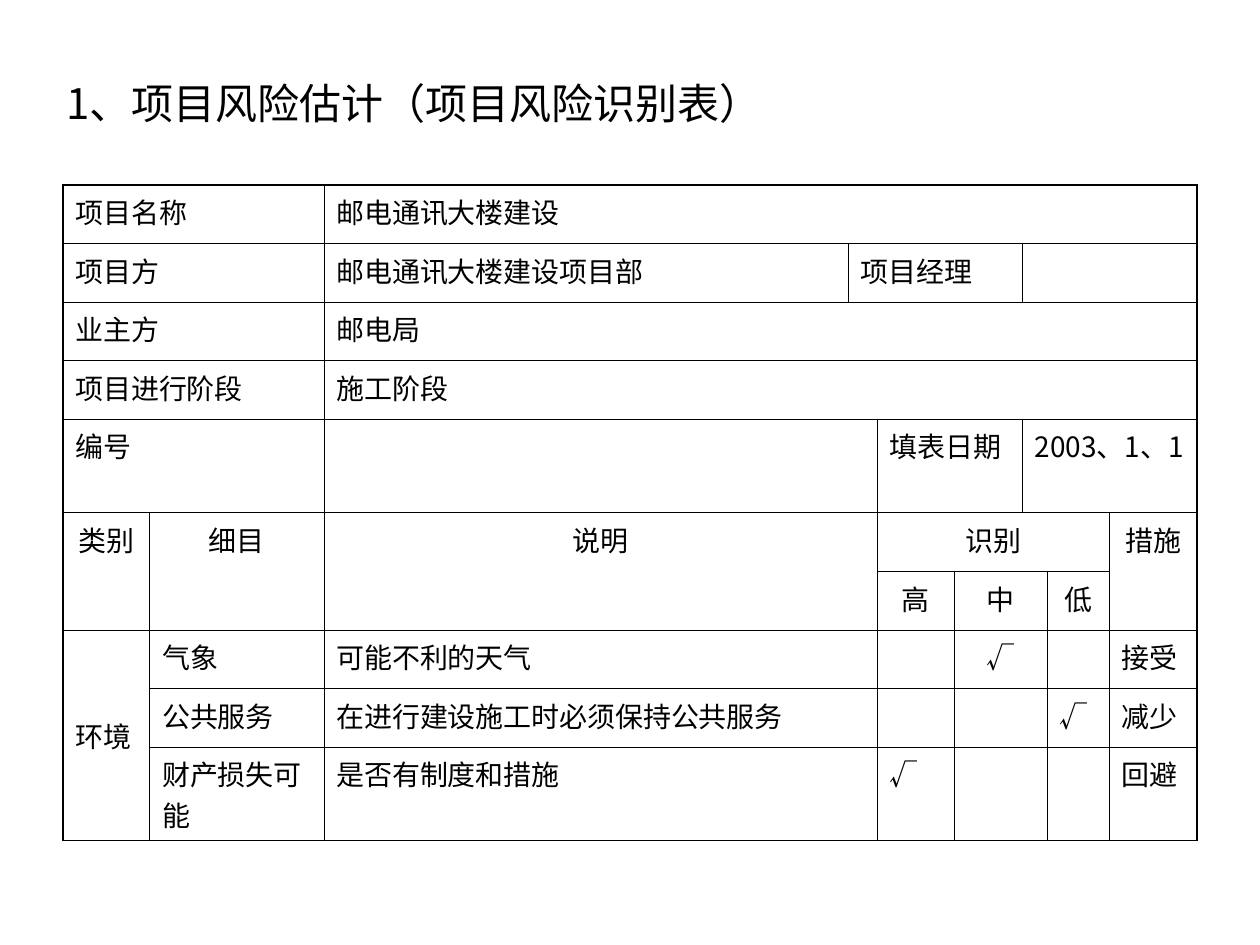
from dataclasses import dataclass

from lxml.etree import SubElement
from pptx import Presentation
from pptx.dml.color import RGBColor
from pptx.enum.text import MSO_ANCHOR as Anchor, PP_ALIGN as Align
from pptx.oxml.ns import qn
from pptx.table import Table
from pptx.text.text import _Paragraph as Paragraph
from pptx.util import Cm, Pt

FONT = "Noto Sans CJK SC"
BLACK, WHITE = "000000", "FFFFFF"
THIN, THICK = 0.45, 1.08

COLUMN_WIDTHS = [1.75, 3.51, 10.57, 0.58, 1.55, 1.38, 0.5, 1.25, 1.77]
SINGLE_ROW, DOUBLE_ROW = 1.18, 1.87
ROW_HEIGHTS = ([SINGLE_ROW] * 4 + [DOUBLE_ROW]) + ([SINGLE_ROW] * 4 + [DOUBLE_ROW])
MARGINS = {"margin_left": Cm(0.25), "margin_right": Cm(0.25),
           "margin_top": Cm(0.13), "margin_bottom": Cm(0.13)}


@dataclass
class Entry:
    row: int
    column: int
    text: str = ""
    columns: int = 1
    rows: int = 1
    align: Align = Align.LEFT
    anchor: Anchor = Anchor.TOP


ENTRIES = [
    # Project details
    Entry(0, 0, "项目名称", 2), Entry(0, 2, "邮电通讯大楼建设", 7),
    Entry(1, 0, "项目方", 2), Entry(1, 2, "邮电通讯大楼建设项目部"),
    Entry(1, 3, "项目经理", 3), Entry(1, 6, columns=3),
    Entry(2, 0, "业主方", 2), Entry(2, 2, "邮电局", 7),
    Entry(3, 0, "项目进行阶段", 2), Entry(3, 2, "施工阶段", 7),
    Entry(4, 0, "编号", 2), Entry(4, 2, columns=2),
    Entry(4, 4, "填表日期", 2), Entry(4, 6, "2003、1、1", 3),
    # Risk headings
    Entry(5, 0, "类别", 1, 2, Align.CENTER),
    Entry(5, 1, "细目", 1, 2, Align.CENTER),
    Entry(5, 2, "说明", 2, 2, Align.CENTER),
    Entry(5, 4, "识别", 4, 1, Align.CENTER),
    Entry(5, 8, "措施", 1, 2, Align.CENTER),
    Entry(6, 4, "高", align=Align.CENTER),
    Entry(6, 5, "中", 2, align=Align.CENTER),
    Entry(6, 7, "低", align=Align.CENTER),
    # Risks
    Entry(7, 0, "环境", rows=3, anchor=Anchor.MIDDLE),
    Entry(7, 1, "气象"), Entry(7, 2, "可能不利的天气", 2),
    Entry(7, 5, "√", 2, align=Align.CENTER), Entry(7, 8, "接受"),
    Entry(8, 1, "公共服务"), Entry(8, 2, "在进行建设施工时必须保持公共服务", 2),
    Entry(8, 5, columns=2), Entry(8, 7, "√"), Entry(8, 8, "减少"),
    Entry(9, 1, "财产损失可能"), Entry(9, 2, "是否有制度和措施", 2),
    Entry(9, 4, "√"), Entry(9, 5, columns=2), Entry(9, 8, "回避"),
]


def color(value: str) -> RGBColor:
    return RGBColor.from_string(value)


def set_attributes(target, values: dict) -> None:
    for name, value in values.items():
        setattr(target, name, value)


def write(paragraph: Paragraph, text: str, size: float, align: Align) -> None:
    paragraph.alignment = align
    run = paragraph.add_run()
    run.text = text
    set_attributes(run.font, {"size": Pt(size), "name": FONT, "bold": False})
    run.font.color.rgb = color(BLACK)
    SubElement(run.font._element, qn("a:ea"), typeface=FONT)


def add_border(cell, side: str, width: float) -> None:
    properties = cell._tc.get_or_add_tcPr()
    line = SubElement(properties, qn(f"a:ln{side}"), w=str(int(Pt(width))))
    fill = SubElement(line, qn("a:solidFill"))
    SubElement(fill, qn("a:srgbClr"), val=BLACK)


def fill_entry(table: Table, entry: Entry) -> None:
    cell = table.cell(entry.row, entry.column)
    if entry.rows * entry.columns > 1:
        cell.merge(table.cell(entry.row + entry.rows - 1,
                              entry.column + entry.columns - 1))
    cell.vertical_anchor = entry.anchor
    if entry.text:
        write(cell.text_frame.paragraphs[0], entry.text, 16, entry.align)


def style_cells(table: Table) -> None:
    """White cells, thin inner rules and a thick outer frame."""
    for row in range(len(ROW_HEIGHTS)):
        for column in range(len(COLUMN_WIDTHS)):
            cell = table.cell(row, column)
            outer = {
                "L": column == 0,
                "R": column + cell.span_width == len(COLUMN_WIDTHS),
                "T": row == 0,
                "B": row + cell.span_height == len(ROW_HEIGHTS),
            }
            for side, is_outer in outer.items():
                add_border(cell, side, THICK if is_outer else THIN)
            cell.fill.solid()
            cell.fill.fore_color.rgb = color(WHITE)
            set_attributes(cell, MARGINS)


def main() -> None:
    presentation = Presentation()
    set_attributes(presentation, {"slide_width": Cm(25.4), "slide_height": Cm(19.05)})
    slide = presentation.slides.add_slide(presentation.slide_layouts[5])

    # Title
    title = slide.shapes.title
    set_attributes(title, {"left": Cm(1.09), "top": Cm(1.12),
                           "width": Cm(23.39), "height": Cm(1.91)})
    set_attributes(title.text_frame, {**MARGINS, "word_wrap": True,
                                      "vertical_anchor": Anchor.MIDDLE})
    write(title.text_frame.paragraphs[0], "1、项目风险估计（项目风险识别表）", 24, Align.LEFT)

    # Risk identification table
    frame = slide.shapes.add_table(
        len(ROW_HEIGHTS), len(COLUMN_WIDTHS), Cm(1.27), Cm(3.73),
        Cm(sum(COLUMN_WIDTHS)), Cm(sum(ROW_HEIGHTS)))
    table = frame.table
    set_attributes(table, {"first_row": False, "horz_banding": False})
    for column, width in zip(table.columns, COLUMN_WIDTHS):
        column.width = Cm(width)
    for row, height in zip(table.rows, ROW_HEIGHTS):
        row.height = Cm(height)
    for entry in ENTRIES:
        fill_entry(table, entry)
    style_cells(table)

    presentation.save("out.pptx")


if __name__ == "__main__":
    main()
